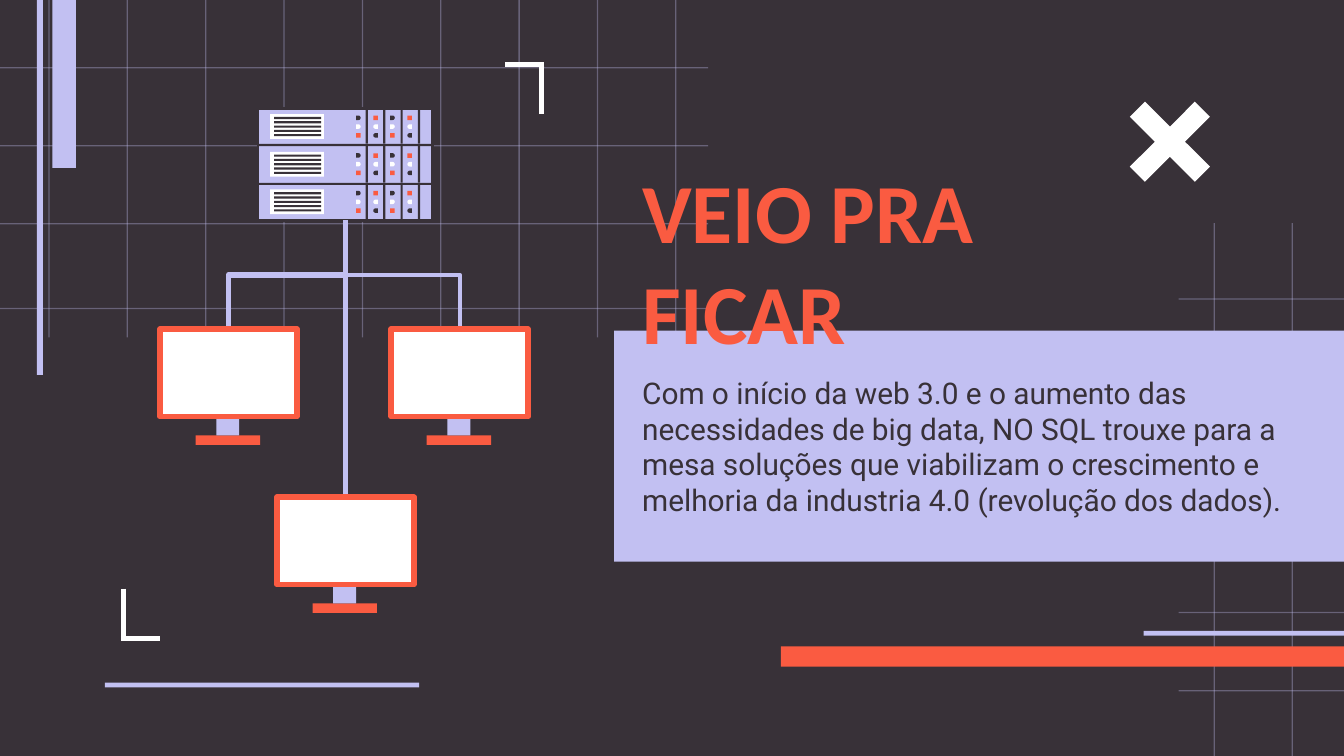
from dataclasses import dataclass
from typing import Optional

from lxml.etree import SubElement
from pptx import Presentation
from pptx.dml.color import RGBColor
from pptx.enum.shapes import MSO_CONNECTOR, MSO_SHAPE
from pptx.enum.text import MSO_ANCHOR
from pptx.oxml.ns import qn
from pptx.shapes.autoshape import Shape
from pptx.shapes.connector import Connector
from pptx.slide import Slide
from pptx.util import Inches, Pt

DARK = RGBColor(0x38, 0x31, 0x38)
LAVENDER = RGBColor(0xC2, 0xC0, 0xF2)
ORANGE = RGBColor(0xFA, 0x5B, 0x41)
WHITE = RGBColor(0xFF, 0xFF, 0xFF)

# The slide is a grid of 100 columns by 56.25 rows of square cells.
COLUMNS, ROWS = 100, 56.25
CELL = Inches(10) / COLUMNS


@dataclass(frozen=True)
class Frame:
    """A rectangle in grid cells."""
    left: float
    top: float
    width: float
    height: float


@dataclass(frozen=True)
class Mesh:
    """Thin lines: vertical ones at xs, horizontal ones at ys, within area."""
    area: Frame
    xs: tuple[float, ...]
    ys: tuple[float, ...]


@dataclass(frozen=True)
class Bracket:
    """A right-angled corner mark with its two arms."""
    x: float
    y: float
    across: float
    up: float


GRID_STEP = 5.83
LEFT_MESH = Mesh(Frame(0, 0, 52.7, 25.1),
                 tuple(3.6 + GRID_STEP * i for i in range(9)), (5, 10.8, 16.6, 22.9))
RIGHT_MESH = Mesh(Frame(87.7, 16.6, 12.3, ROWS - 16.6),
                  (90.3, 96.1), tuple(22.2 + GRID_STEP * i for i in range(6)))
BARS = (
    (Frame(58.1, 48.1, 41.9, 1.5), ORANGE),
    (Frame(85.1, 46.95, 14.9, 0.35), LAVENDER),
    (Frame(7.8, 50.8, 23.4, 0.35), LAVENDER),
    (Frame(3.9, 0, 1.75, 12.5), LAVENDER),
    (Frame(2.75, 0, 0.45, 27.9), LAVENDER),
    (Frame(45.7, 24.6, 54.3, 17.2), LAVENDER),
)
BRACKETS = (Bracket(40.3, 4.8, -2.7, 3.7), Bracket(9.2, 47.5, 2.7, -3.7))
SERVER = Frame(19.2, 8.1, 13, 8.3)
UNIT_STEP = 2.8
SHELVES = ((8.1, 2.6), (10.8, 2.8), (13.7, 2.6))
SCREENS = ((11.9, 24.5), (29.1, 24.5), (20.6, 37))


def cells(count: float) -> int:
    return round(count * CELL)


def add_box(page: Slide, frame: Frame, fill: RGBColor, *,
            kind: MSO_SHAPE = MSO_SHAPE.RECTANGLE, line: Optional[RGBColor] = None,
            line_width: float = 0, opacity: int = 100, rotation: int = 0) -> Shape:
    box = page.shapes.add_shape(kind, cells(frame.left), cells(frame.top),
                                cells(frame.width), cells(frame.height))
    box.shadow.inherit = False
    box.rotation = rotation
    box.fill.solid()
    box.fill.fore_color.rgb = fill
    if opacity < 100:
        color = box._element.spPr.find(qn("a:solidFill")).find(qn("a:srgbClr"))
        SubElement(color, qn("a:alpha")).set("val", str(opacity * 1000))
    if line is None:
        box.line.fill.background()
    else:
        box.line.color.rgb = line
        box.line.width = Pt(line_width)
    return box


def add_line(page: Slide, start: tuple[float, float], end: tuple[float, float], color: RGBColor,
             width: float, kind: MSO_CONNECTOR = MSO_CONNECTOR.STRAIGHT) -> Connector:
    line = page.shapes.add_connector(kind, *map(cells, start + end))
    line.line.color.rgb = color
    line.line.width = Pt(width)
    SubElement(line._element.spPr, qn("a:effectLst"))
    return line


def add_cable(page: Slide, source: Shape, target: Shape, width: float) -> None:
    """Join source's bottom to target's top, bending halfway down if they are not aligned."""
    straight = abs(source.left + source.width / 2 - target.left - target.width / 2) < CELL / 2
    kind = MSO_CONNECTOR.STRAIGHT if straight else MSO_CONNECTOR.ELBOW
    cable = add_line(page, (0, 0), (1, 1), LAVENDER, width, kind)
    cable.begin_connect(source, 2)
    cable.end_connect(target, 0)
    if not straight:
        across, down = cable.end_x - cable.begin_x, cable.end_y - cable.begin_y
        middle_x, middle_y = cable.begin_x + across / 2, cable.begin_y + down / 2
        cable.left, cable.top = round(middle_x - down / 2), round(middle_y - abs(across) / 2)
        cable.width, cable.height = down, abs(across)
        turn = cable._element.spPr.find(qn("a:xfrm"))
        turn.set("rot", str((90 if across < 0 else 270) * 60000))
        turn.set("flipH", "0" if across < 0 else "1")
    target._element.addprevious(cable._element)


def add_text(page: Slide, frame: Frame, text: str, *, size: float, font: str,
             color: RGBColor, bold: bool = False) -> None:
    box = page.shapes.add_textbox(cells(frame.left), cells(frame.top),
                                  cells(frame.width), cells(frame.height))
    body = box.text_frame
    body.word_wrap = True
    body.vertical_anchor = MSO_ANCHOR.MIDDLE
    body.margin_left = body.margin_right = body.margin_top = body.margin_bottom = cells(1)
    span = body.paragraphs[0].add_run()
    span.text = text
    span.font.size = Pt(size)
    span.font.name = font
    span.font.bold = bold
    span.font.color.rgb = color


def add_mesh(page: Slide, mesh: Mesh) -> None:
    area = mesh.area
    strips = [Frame(area.left, y, area.width, 0.1) for y in mesh.ys]
    strips += [Frame(x, area.top, 0.1, area.height) for x in mesh.xs]
    for strip in strips:
        add_box(page, strip, LAVENDER, opacity=35)


def add_lights(page: Slide, top: float) -> None:
    """Four columns of three lights; every second column is turned upside down."""
    for column in range(4):
        rows = ((MSO_SHAPE.FLOWCHART_DELAY, DARK), (MSO_SHAPE.FLOWCHART_DELAY, WHITE),
                (MSO_SHAPE.RECTANGLE, ORANGE))
        turned = column % 2 == 1
        for row, (kind, color) in enumerate(reversed(rows) if turned else rows):
            add_box(page, Frame(26.5 + 1.27 * column, top + 0.65 * row, 0.34, 0.34), color,
                    kind=kind, rotation=180 if turned else 0)


def add_server(page: Slide) -> Shape:
    body = add_box(page, SERVER, LAVENDER, line=DARK, line_width=1.5)
    for unit, (top, height) in enumerate(SHELVES):
        offset = UNIT_STEP * unit
        add_box(page, Frame(20.1, 8.5 + offset, 4, 1.85), WHITE)
        for vent in range(5):
            add_box(page, Frame(20.4, 8.7 + offset + 0.32 * vent, 3.5, 0.16), DARK)
        add_lights(page, 8.6 + offset)
        for divider in range(4):
            add_box(page, Frame(27.2 + 1.3 * divider, top, 0.17, height), DARK)
        if unit:
            add_box(page, Frame(SERVER.left, top - 0.1, SERVER.width, 0.17), DARK)
    return body


def add_monitor(page: Slide, left: float, top: float) -> Shape:
    """Draw the stand and the screen, and return the screen."""
    add_box(page, Frame(left + 2.65, top + 7.9, 4.8, 0.7), ORANGE)
    add_box(page, Frame(left + 4.2, top + 6.5, 1.7, 1.4), LAVENDER)
    return add_box(page, Frame(left, top, 10.2, 6.5), WHITE, line=ORANGE, line_width=3)


def main() -> None:
    deck = Presentation()
    deck.slide_width, deck.slide_height = cells(COLUMNS), cells(ROWS)
    page = deck.slides.add_slide(deck.slide_layouts[6])
    page.background.fill.solid()
    page.background.fill.fore_color.rgb = DARK

    for mesh in (RIGHT_MESH, LEFT_MESH):
        add_mesh(page, mesh)
    for frame, color in BARS:
        add_box(page, frame, color)
    cross = add_box(page, Frame(82.4, 5.9, 9.3, 9.3), WHITE, kind=MSO_SHAPE.MATH_MULTIPLY)
    cross.adjustments[0] = 0.171

    add_text(page, Frame(46.8, 15.2, 42.5, 8.3), "VEIO PRA FICAR",
             size=45, font="Calibri", color=ORANGE, bold=True)
    add_text(page, Frame(46.8, 25.7, 51.9, 15),
             "Com o início da web 3.0 e o aumento das necessidades de big data, NO SQL trouxe "
             "para a mesa soluções que viabilizam o crescimento e melhoria da industria 4.0 "
             "(revolução dos dados).", size=16, font="Roboto", color=DARK)

    for mark in BRACKETS:
        overlap = 0.2 if mark.across < 0 else -0.2
        add_line(page, (mark.x, mark.y + mark.up), (mark.x, mark.y), WHITE, 3)
        add_line(page, (mark.x + overlap, mark.y), (mark.x + mark.across, mark.y), WHITE, 3)

    server = add_server(page)
    for (left, top), width in zip(SCREENS, (3, 2.25, 3)):
        add_cable(page, server, add_monitor(page, left, top), width)

    deck.save("out.pptx")


if __name__ == "__main__":
    main()
